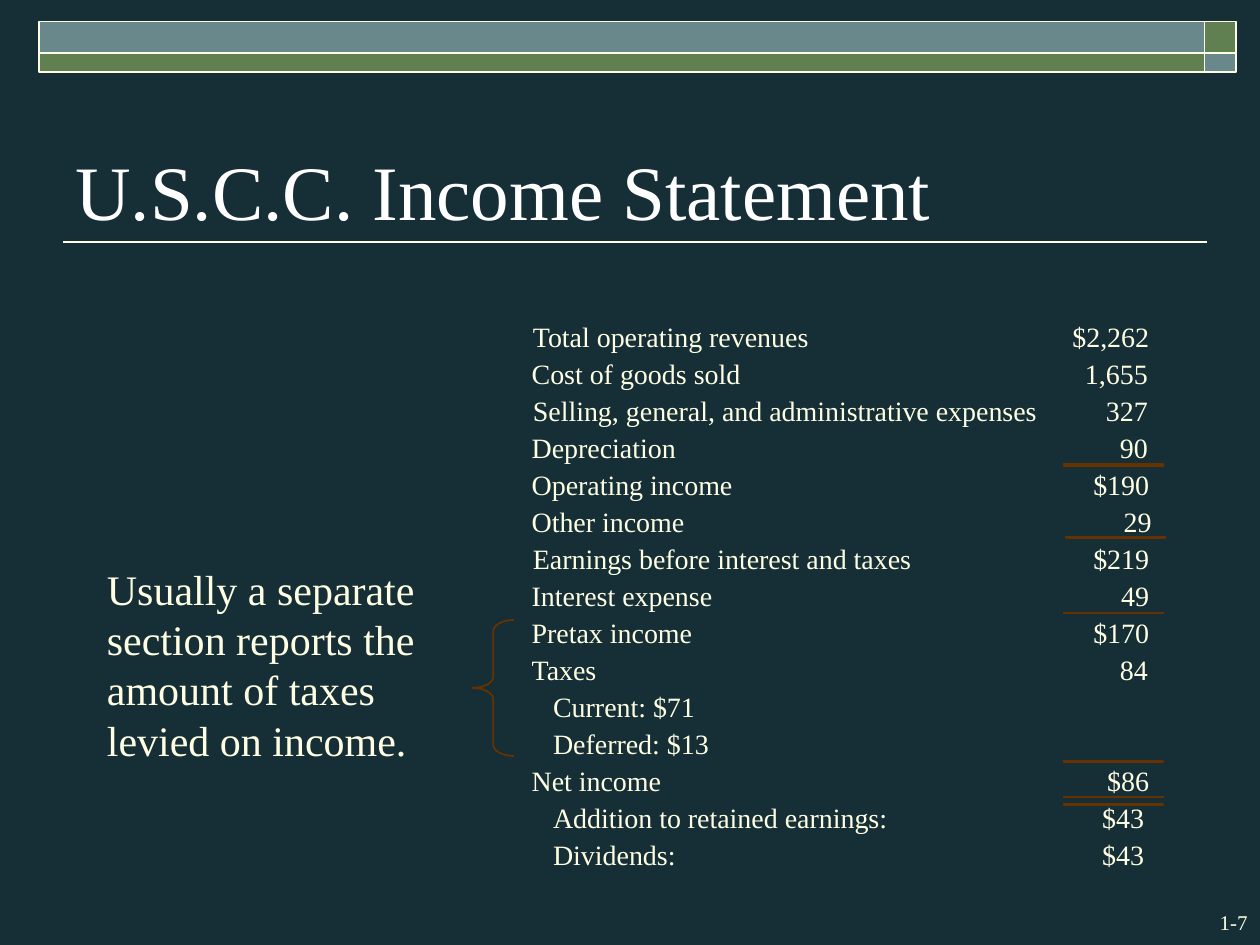
from lxml import etree
from pptx import Presentation
from pptx.dml.color import RGBColor
from pptx.enum.shapes import MSO_CONNECTOR, MSO_SHAPE
from pptx.enum.text import MSO_ANCHOR, PP_ALIGN
from pptx.oxml.ns import qn
from pptx.util import Inches, Pt

CREAM, GREEN, TEAL, BROWN = "FFFFE3", "618052", "69888B", "663300"


def color(hex_string):
    return RGBColor.from_string(hex_string)


def add_text(text, left, top, width, height, size=16, font_color=CREAM,
             align=PP_ALIGN.LEFT, inset=(0, 0), anchor=MSO_ANCHOR.TOP):
    """Add a one-paragraph text box; inset is (horizontal, vertical) in inches."""
    box = slide.shapes.add_textbox(Inches(left), Inches(top), Inches(width), Inches(height))
    frame = box.text_frame
    horizontal, vertical = map(Inches, inset)
    frame_format = {
        "word_wrap": True, "vertical_anchor": anchor,
        "margin_left": horizontal, "margin_right": horizontal,
        "margin_top": vertical, "margin_bottom": vertical,
    }
    for name, value in frame_format.items():
        setattr(frame, name, value)
    paragraph = frame.paragraphs[0]
    paragraph.alignment = align
    run = paragraph.add_run()
    run.text = text
    for name, value in {"name": "Times New Roman", "size": Pt(size)}.items():
        setattr(run.font, name, value)
    run.font.color.rgb = color(font_color)


presentation = Presentation()
presentation.slide_width, presentation.slide_height = Inches(10), Inches(7.5)
slide = presentation.slides.add_slide(presentation.slide_layouts[6])
slide.background.fill.solid()
slide.background.fill.fore_color.rgb = color("162E36")

# Title with its underline
underline = slide.shapes.add_connector(
    MSO_CONNECTOR.STRAIGHT, Inches(9.58), Inches(1.92), Inches(0.5), Inches(1.92))
underline.line.color.rgb = color(CREAM)
underline.line.width = Pt(1)
etree.SubElement(underline._element.spPr, qn("a:effectLst"))
add_text("U.S.C.C. Income Statement", 0.5, 0.67, 9, 1.25, size=44, font_color="FFFFFF",
         inset=(0.1, 0.05), anchor=MSO_ANCHOR.BOTTOM)

# Header band and the rules under the amounts
header_band = [
    (9.56, 0.17, 0.25, 0.25, GREEN, CREAM, 1),
    (0.31, 0.17, 9.25, 0.25, TEAL, CREAM, 1),
    (0.31, 0.42, 9.25, 0.15, GREEN, CREAM, 1),
    (9.56, 0.42, 0.25, 0.15, TEAL, CREAM, 1),
]
rule_positions = [(8.44, 3.68), (8.44, 3.69), (8.46, 4.26), (8.44, 4.86),
                  (8.44, 6.04), (8.44, 6.32), (8.44, 6.38)]
amount_rules = [(left, top, 0.79, 0.01, "000000", BROWN, 0.75) for left, top in rule_positions]
for left, top, width, height, fill, outline, weight in header_band + amount_rules:
    shape = slide.shapes.add_shape(
        MSO_SHAPE.RECTANGLE, Inches(left), Inches(top), Inches(width), Inches(height))
    shape.shadow.inherit = False
    shape.fill.solid()
    shape.fill.fore_color.rgb = color(fill)
    shape.line.color.rgb = color(outline)
    shape.line.width = Pt(weight)

# Income statement: label, label left, amount, amount right edge
statement_rows = [
    ("Total operating revenues", 4.23, "$2,262", 9.12),
    ("Cost of goods sold", 4.22, "1,655", 9.11),
    ("Selling, general, and administrative expenses", 4.23, "327", 9.11),
    ("Depreciation", 4.22, "90", 9.11),
    ("Operating income", 4.22, "$190", 9.12),
    ("Other income", 4.22, "29", 9.14),
    ("Earnings before interest and taxes", 4.23, "$219", 9.12),
    ("Interest expense", 4.22, "49", 9.12),
    ("Pretax income", 4.22, "$170", 9.12),
    ("Taxes", 4.22, "84", 9.11),
    ("Current: $71", 4.39, None, None),
    ("Deferred: $13", 4.39, None, None),
    ("Net income", 4.22, "$86", 9.12),
    ("Addition to retained earnings:", 4.39, "$43", 9.08),
    ("Dividends:", 4.39, "$43", 9.08),
]
first_top, row_pitch, row_height, amount_width = 2.54, 0.2936, 0.27, 0.7
for index, (label, label_left, amount, amount_right) in enumerate(statement_rows):
    top = first_top + index * row_pitch
    add_text(label, label_left, top, 4.1, row_height)
    if amount:
        add_text(amount, amount_right - amount_width, top, amount_width, row_height,
                 align=PP_ALIGN.RIGHT)

# Note on taxes with its brace
brace = slide.shapes.add_shape(
    MSO_SHAPE.LEFT_BRACE, Inches(3.75), Inches(4.92), Inches(0.33), Inches(1.08))
brace.adjustments[0] = 0.27
brace.shadow.inherit = False
brace.fill.background()
brace.line.color.rgb = color(BROWN)
brace.line.width = Pt(1)
add_text("Usually a separate section reports the amount of taxes levied on income.",
         0.75, 4.42, 2.75, 1.7, size=24, inset=(0.1, 0.05))

add_text("1-7", 9.17, 7.17, 0.83, 0.3, size=12, align=PP_ALIGN.RIGHT, inset=(0.1, 0.05))

presentation.save("out.pptx")
